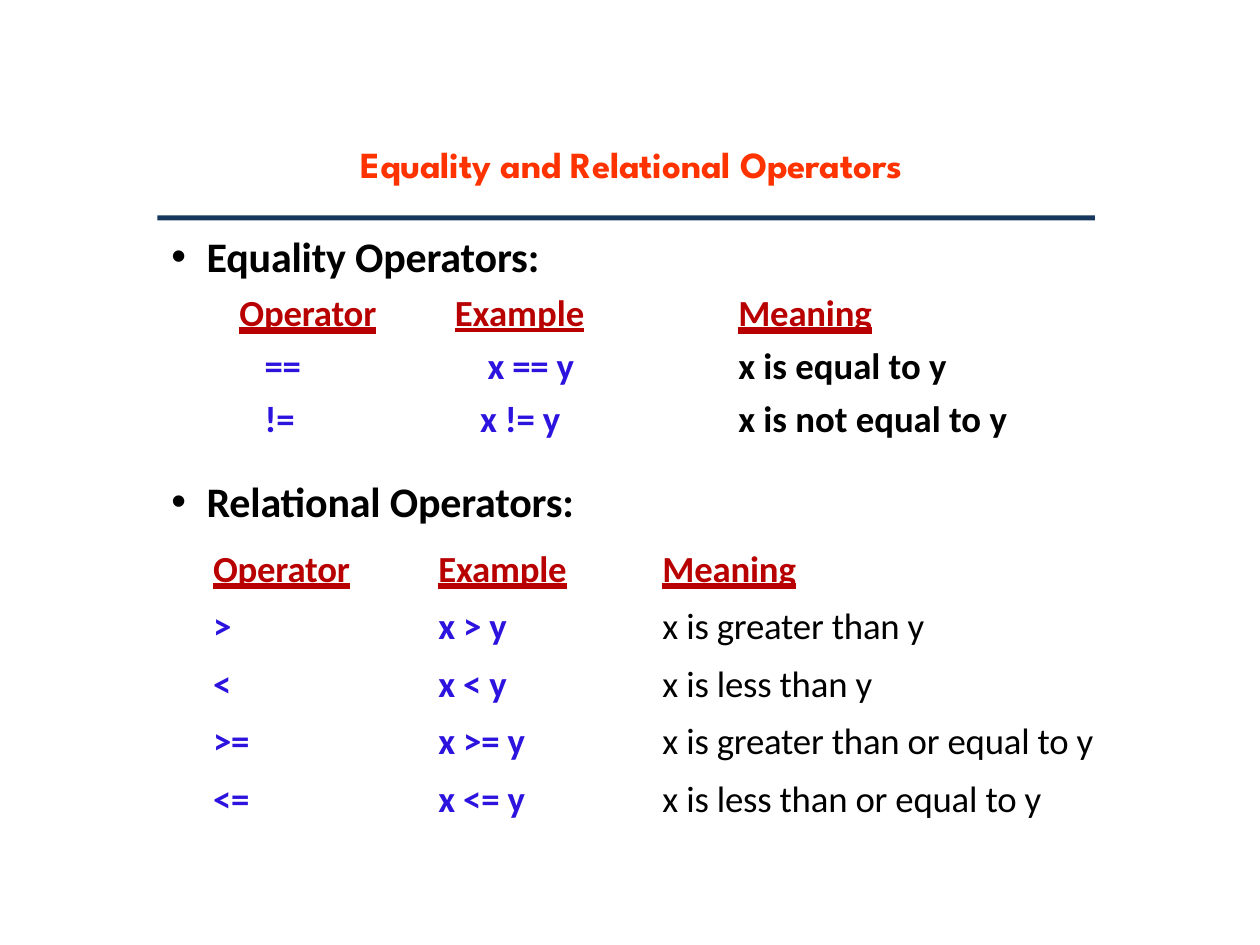
from dataclasses import dataclass

from lxml import etree
from pptx import Presentation
from pptx.dml.color import RGBColor
from pptx.enum import shapes, text
from pptx.oxml import ns
from pptx.util import Pt


@dataclass(frozen=True)
class Theme:
    title: str = "FF3300"
    rule: str = "17375E"
    header: str = "B80000"
    code: str = "2C13DE"
    body: str = "000000"
    title_font: str = "League Spartan"
    body_font: str = "Calibri"
    text_size: float = 21
    heading_size: float = 24


THEME = Theme()
HEAVY = text.MSO_UNDERLINE.HEAVY_LINE
SINGLE = text.MSO_UNDERLINE.SINGLE_LINE


@dataclass(frozen=True)
class Style:
    color: str
    size: float = THEME.text_size
    font: str = THEME.body_font
    bold: bool = True
    underline: object = False
    tracking: float = -0.1


TITLE = Style(THEME.title, font=THEME.title_font)
HEADING = Style(THEME.body, size=THEME.heading_size)
HEADER = Style(THEME.header, underline=HEAVY)
EXAMPLE_HEADER = Style(THEME.header, underline=SINGLE, tracking=0)
CODE = Style(THEME.code)
MEANING = Style(THEME.body, tracking=0)
PLAIN_MEANING = Style(THEME.body, bold=False)


@dataclass(frozen=True)
class Box:
    left: float
    top: float
    width: float
    height: float


@dataclass(frozen=True)
class Line:
    words: str
    style: Style
    indent: float = 0.7
    before: float = 0


@dataclass(frozen=True)
class OperatorColumn:
    left: float
    width: float
    lines: tuple[Line, ...]


OPERATOR_COLUMNS = (
    OperatorColumn(136.1, 80.6, (
        Line("Operator", HEADER, before=5.8),
        Line("==", CODE, 15.1, 5.1),
        Line("!=", CODE, 15.1, 5))),
    OperatorColumn(259.2, 75.6, (
        Line("Example", EXAMPLE_HEADER, before=5.8),
        Line("x == y", CODE, 19.4, 5.1),
        Line("x != y", CODE, 15.1, 5))),
    OperatorColumn(421.2, 177.1, (
        Line("Meaning", HEADER, before=5.8),
        Line("x is equal to y", MEANING, before=5.1),
        Line("x is not equal to y", MEANING, before=5))),
)
HEADINGS = (
    ("Equality Operators:", Box(97.2, 131, 298.8, 29.5)),
    ("Relational Operators:", Box(97.2, 270.7, 272.2, 29.5)),
)
RELATIONAL_ROWS = (
    ("Operator", "Example", "Meaning"),
    (">", "x > y", "x is greater than y"),
    ("<", "x < y", "x is less than y"),
    (">=", "x >= y", "x is greater than or equal to y"),
    ("<=", "x <= y", "x is less than or equal to y"),
)
TABLE_BOX = Box(119.5, 311.8, 553.7, 159.1)
COLUMN_WIDTHS = (112.3, 123.8, 317.6)
COLUMN_INDENTS = (2.2, 18.7, 23)
HEADER_LINE, BODY_LINE = 26.6, 32.8


def points(box: Box) -> tuple:
    return Pt(box.left), Pt(box.top), Pt(box.width), Pt(box.height)


def write_line(paragraph, line: Line) -> None:
    style = line.style
    paragraph.space_before = Pt(line.before)
    paragraph._p.get_or_add_pPr().set("marL", str(Pt(line.indent)))
    run = paragraph.add_run()
    run.text = line.words
    font = run.font
    font.name, font.size = style.font, Pt(style.size)
    font.bold, font.underline = style.bold, style.underline
    font.color.rgb = RGBColor.from_string(style.color)
    run._r.get_or_add_rPr().set("spc", str(round(style.tracking * 100)))


def add_bullet(paragraph, hanging: float) -> None:
    properties = paragraph._p.get_or_add_pPr()
    properties.set("indent", str(-Pt(hanging)))
    etree.SubElement(properties, ns.qn("a:buFont"), typeface="Arial")
    etree.SubElement(properties, ns.qn("a:buChar"), char="•")


def add_text(slide, box: Box, lines: tuple[Line, ...], inset: float = 1):
    frame = slide.shapes.add_textbox(*points(box)).text_frame
    frame.word_wrap = True
    frame.auto_size = text.MSO_AUTO_SIZE.SHAPE_TO_FIT_TEXT
    frame.margin_left = frame.margin_right = frame.margin_bottom = Pt(0)
    frame.margin_top = Pt(inset)
    for index, line in enumerate(lines):
        paragraph = frame.add_paragraph() if index else frame.paragraphs[0]
        write_line(paragraph, line)
    return frame


def add_title(slide) -> None:
    line = Line("Equality and Relational Operators", TITLE, before=0.8)
    frame = add_text(slide, Box(129.6, 79.9, 461.5, 25.9), (line,))
    frame.vertical_anchor = text.MSO_ANCHOR.MIDDLE
    frame.paragraphs[0].alignment = text.PP_ALIGN.CENTER


def add_rule(slide, box: Box) -> None:
    rule = slide.shapes.add_shape(shapes.MSO_SHAPE.RECTANGLE, *points(box))
    rule.shadow.inherit = False
    rule.fill.solid()
    rule.fill.fore_color.rgb = RGBColor.from_string(THEME.rule)
    rule.line.fill.background()


def add_relational_table(slide) -> None:
    table = slide.shapes.add_table(
        len(RELATIONAL_ROWS), len(COLUMN_WIDTHS), *points(TABLE_BOX)).table
    table.first_row = table.horz_banding = False
    for column, width in zip(table.columns, COLUMN_WIDTHS):
        column.width = Pt(width)
    for row_index, words in enumerate(RELATIONAL_ROWS):
        line_height = BODY_LINE if row_index else HEADER_LINE
        styles = (CODE, CODE, PLAIN_MEANING) if row_index else (HEADER,) * 3
        row = table.rows[row_index]
        row.height = Pt(line_height)
        for cell, word, style, indent in zip(row.cells, words, styles, COLUMN_INDENTS):
            cell.fill.background()
            cell.margin_left = cell.margin_right = Pt(0)
            cell.margin_top = cell.margin_bottom = Pt(0)
            paragraph = cell.text_frame.paragraphs[0]
            paragraph.line_spacing = Pt(line_height)
            write_line(paragraph, Line(word, style, indent))


def main() -> None:
    presentation = Presentation()
    presentation.slide_width, presentation.slide_height = Pt(720), Pt(540)
    slide = presentation.slides.add_slide(presentation.slide_layouts[6])
    add_title(slide)
    for words, box in HEADINGS:
        frame = add_text(slide, box, (Line(words, HEADING, 20.9, 0.8),))
        add_bullet(frame.paragraphs[0], 20.2)
    for column in OPERATOR_COLUMNS:
        add_text(slide, Box(column.left, 159.8, column.width, 92.2), column.lines, 5.8)
    add_relational_table(slide)
    add_rule(slide, Box(90, 123.1, 535.7, 2.9))
    presentation.save("out.pptx")


if __name__ == "__main__":
    main()
